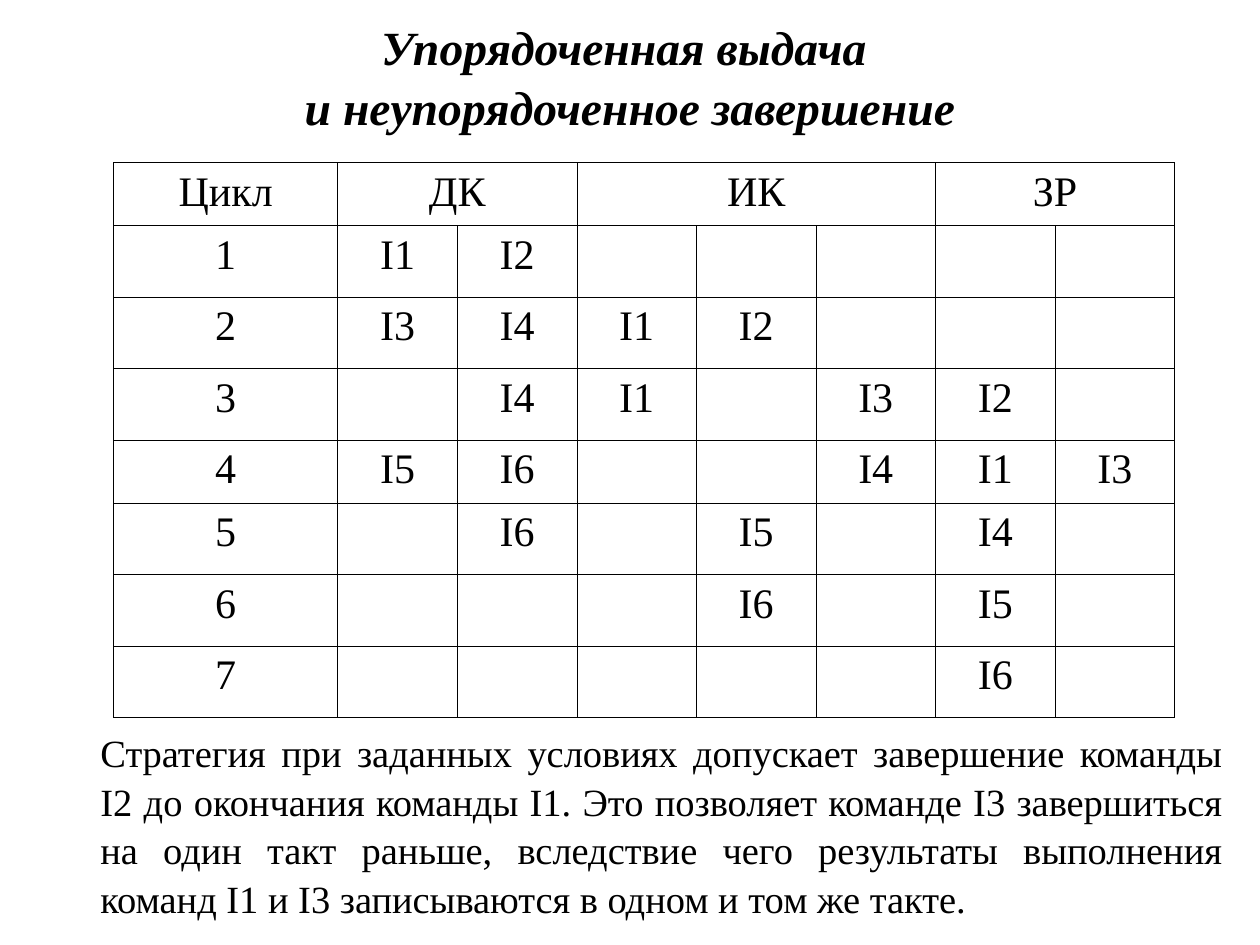
from lxml import etree
from pptx import Presentation
from pptx.dml.color import RGBColor
from pptx.enum import text
from pptx.oxml import ns
from pptx.util import Cm, Pt

TITLE = "Упорядоченная выдача \vи неупорядоченное завершение"
SUMMARY = (
    "Стратегия при заданных условиях допускает завершение команды I2 до "
    "окончания команды I1. Это позволяет команде I3 завершиться на один такт "
    "раньше, вследствие чего результаты выполнения команд I1 и I3 "
    "записываются в одном и том же такте. "
)
STAGES = [("Цикл", 1), ("ДК", 2), ("ИК", 3), ("ЗР", 2)]  # heading, columns
CYCLES = [
    ["1", "I1", "I2", "", "", "", "", ""],
    ["2", "I3", "I4", "I1", "I2", "", "", ""],
    ["3", "", "I4", "I1", "", "I3", "I2", ""],
    ["4", "I5", "I6", "", "", "I4", "I1", "I3"],
    ["5", "", "I6", "", "I5", "", "I4", ""],
    ["6", "", "", "", "I6", "", "I5", ""],
    ["7", "", "", "", "", "", "I6", ""],
]
FONT, BLACK = "Times New Roman", "000000"
CYCLE_WIDTH, STAGE_WIDTH = 4.52, 2.41
ROW_HEIGHT, LOW_ROW_HEIGHT = 1.44, 1.27
LOW_ROWS = (0, 4)


def color(value):
    return RGBColor.from_string(value)


def write(frame, words, size, align, bold=False, spacing=None):
    paragraph = frame.paragraphs[0]
    paragraph.text = words
    paragraph.alignment = align
    paragraph.line_spacing = spacing
    paragraph.space_before = Pt(0)
    for run in paragraph.runs:
        run.font.name = FONT
        run.font.size = Pt(size)
        run.font.bold = run.font.italic = bold
        run.font.color.rgb = color(BLACK)
    return paragraph


def place(holder, left, top, width, height, anchor):
    holder.left, holder.top = Cm(left), Cm(top)
    holder.width, holder.height = Cm(width), Cm(height)
    frame = holder.text_frame
    frame.word_wrap = True
    frame.auto_size = text.MSO_AUTO_SIZE.NONE
    frame.vertical_anchor = anchor
    return frame


def add_borders(cell):
    properties = cell._tc.get_or_add_tcPr()
    for position, side in enumerate(("lnL", "lnR", "lnT", "lnB")):
        line = etree.Element(ns.qn(f"a:{side}"), w=str(Pt(0.45)))
        fill = etree.SubElement(line, ns.qn("a:solidFill"))
        etree.SubElement(fill, ns.qn("a:srgbClr"), val=BLACK)
        properties.insert(position, line)


def add_schedule(slide):
    heights = [LOW_ROW_HEIGHT if row in LOW_ROWS else ROW_HEIGHT
               for row in range(len(CYCLES) + 1)]
    widths = [CYCLE_WIDTH] + [STAGE_WIDTH] * (len(CYCLES[0]) - 1)
    schedule = slide.shapes.add_table(
        len(heights), len(widths), Cm(2.29), Cm(3.28),
        Cm(sum(widths)), Cm(sum(heights))).table
    schedule.first_row = schedule.horz_banding = False
    for column, width in zip(schedule.columns, widths):
        column.width = Cm(width)
    for row, height in zip(schedule.rows, heights):
        row.height = Cm(height)
    for cell in schedule.iter_cells():
        cell.fill.background()
        add_borders(cell)

    start = 0
    for heading, span in STAGES:
        cell = schedule.cell(0, start)
        if span > 1:
            cell.merge(schedule.cell(0, start + span - 1))
        write(cell.text_frame, heading, 24, text.PP_ALIGN.CENTER)
        start += span
    for row, commands in enumerate(CYCLES, 1):
        for column, command in enumerate(commands):
            if command:
                write(schedule.cell(row, column).text_frame, command, 24,
                      text.PP_ALIGN.CENTER)


def main():
    deck = Presentation()
    deck.slide_width, deck.slide_height = Cm(25.4), Cm(19.05)
    slide = deck.slides.add_slide(deck.slide_layouts[1])
    title, summary = slide.placeholders

    frame = place(title, 0, 0.2, 25.4, 2.62, text.MSO_ANCHOR.MIDDLE)
    write(frame, TITLE, 27.2, text.PP_ALIGN.CENTER, bold=True, spacing=1.05)

    frame = place(summary, 0.5, 14.53, 24.4, 4.19, text.MSO_ANCHOR.TOP)
    paragraph = write(frame, SUMMARY, 22, text.PP_ALIGN.JUSTIFY, spacing=1.05)
    paragraph.level = 1
    properties = paragraph._p.get_or_add_pPr()
    properties.set("marL", str(Cm(1.27)))
    properties.set("indent", "0")
    etree.SubElement(properties, ns.qn("a:buNone"))

    add_schedule(slide)
    deck.save("out.pptx")


if __name__ == "__main__":
    main()
